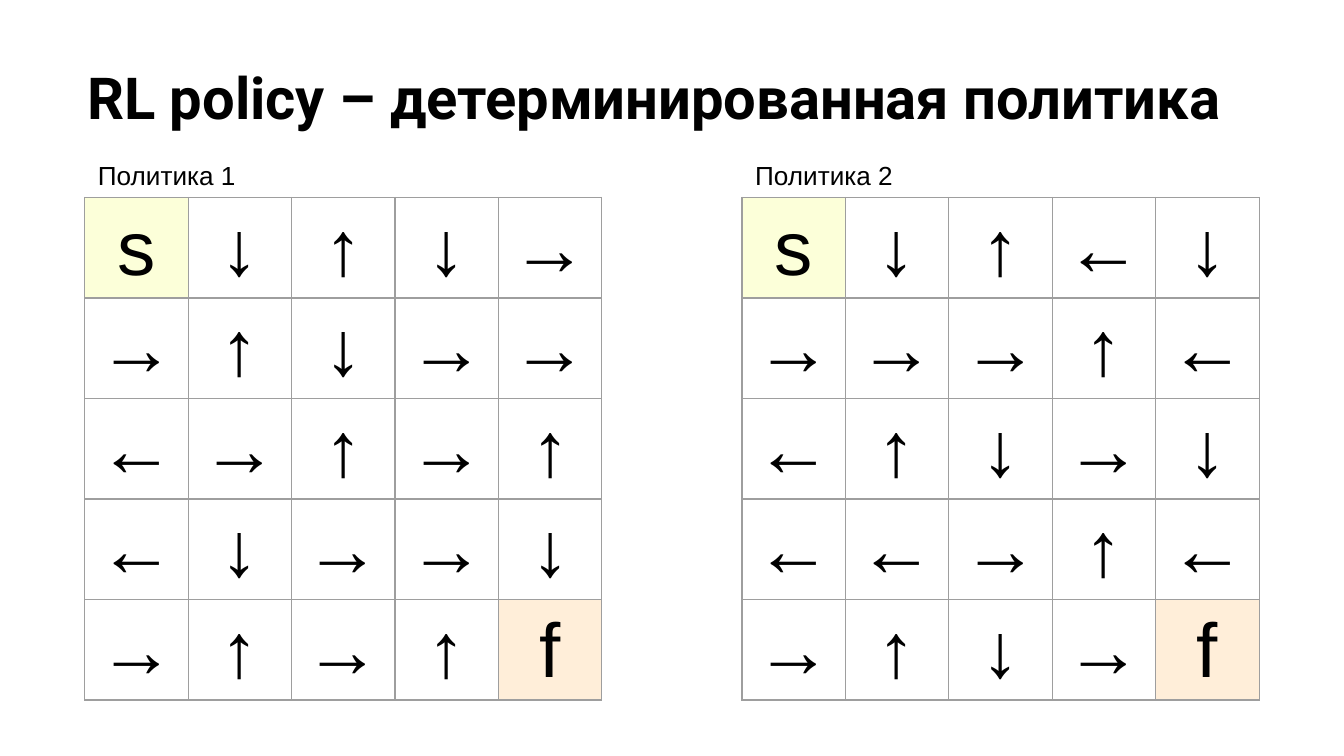
from lxml.etree import SubElement
from pptx import Presentation
from pptx.dml.color import RGBColor
from pptx.enum.text import MSO_ANCHOR, MSO_AUTO_SIZE, PP_ALIGN
from pptx.oxml.ns import qn
from pptx.util import Inches, Pt

BLACK = RGBColor(0x00, 0x00, 0x00)
GRID = RGBColor(0x9E, 0x9E, 0x9E)
START = RGBColor(0xFC, 0xFF, 0xD9)
FINISH = RGBColor(0xFF, 0xEE, 0xD9)
CELL_FILLS = {"s": START, "f": FINISH}

POLICIES = [
    ("Политика 1", 0.63, ["s↓↑↓→", "→↑↓→→", "←→↑→↑", "←↓→→↓", "→↑→↑f"]),
    ("Политика 2", 5.52, ["s↓↑←↓", "→→→↑←", "←↑↓→↓", "←←→↑←", "→↑↓→f"]),
]


def write_text(tf, text, size, font="Arial", bold=False, align=PP_ALIGN.LEFT):
    """Write one formatted paragraph into a text frame."""
    p = tf.paragraphs[0]
    p.alignment = align
    r = p.add_run()
    r.text = text
    r.font.size = Pt(size)
    r.font.name = font
    r.font.bold = bold
    r.font.color.rgb = BLACK


def set_borders(cell, color, width):
    """Draw the four borders of a table cell."""
    tc_pr = cell._tc.get_or_add_tcPr()
    for side in ("a:lnL", "a:lnR", "a:lnT", "a:lnB"):
        ln = SubElement(tc_pr, qn(side), w=str(Pt(width)))
        fill = SubElement(ln, qn("a:solidFill"))
        SubElement(fill, qn("a:srgbClr"), val=str(color))


def format_cell(cell, symbol):
    """Fill one grid cell with its symbol, borders and colour."""
    cell.margin_left = cell.margin_top = cell.margin_right = Inches(0.01)
    cell.margin_bottom = 0
    cell.vertical_anchor = MSO_ANCHOR.MIDDLE
    write_text(cell.text_frame, symbol, 41, align=PP_ALIGN.CENTER)
    set_borders(cell, GRID, 0.75)
    if symbol in CELL_FILLS:
        cell.fill.solid()
        cell.fill.fore_color.rgb = CELL_FILLS[symbol]
    else:
        cell.fill.background()


def add_title(slide, text, left, top, width, height):
    """Place and format the title placeholder."""
    sp = slide.shapes.title
    sp.left, sp.top, sp.width, sp.height = map(Inches, (left, top, width, height))
    tf = sp.text_frame
    tf.margin_left = tf.margin_top = tf.margin_right = tf.margin_bottom = Inches(0.1)
    tf.vertical_anchor = MSO_ANCHOR.TOP
    tf.auto_size = MSO_AUTO_SIZE.NONE
    write_text(tf, text, 31, font="Roboto", bold=True)


def add_policy(slide, label, rows, left, top, width, height):
    """Add a labelled policy grid inside the given box."""
    label_height = 0.33
    table = slide.shapes.add_table(
        len(rows), len(rows[0]), Inches(left), Inches(top + label_height),
        Inches(width), Inches(height - label_height)).table
    table.first_row = False
    table.horz_banding = False
    for i, row in enumerate(rows):
        for j, symbol in enumerate(row):
            format_cell(table.cell(i, j), symbol)

    box = slide.shapes.add_textbox(Inches(left), Inches(top), Inches(1.23), Inches(0.34))
    box.text_frame.word_wrap = False
    box.text_frame.auto_size = MSO_AUTO_SIZE.SHAPE_TO_FIT_TEXT
    write_text(box.text_frame, label, 14)


def main():
    """Build and save the slide."""
    prs = Presentation()
    prs.slide_width = Inches(10)
    prs.slide_height = prs.slide_width * 9 // 16
    s = prs.slides.add_slide(prs.slide_layouts[5])
    add_title(s, "RL policy – детерминированная политика", 0.55, 0.36, 9.32, 1.2)
    for label, left, rows in POLICIES:
        add_policy(s, label, rows, left, 1.14, 3.85, 4.07)
    prs.save("out.pptx")


if __name__ == "__main__":
    main()
